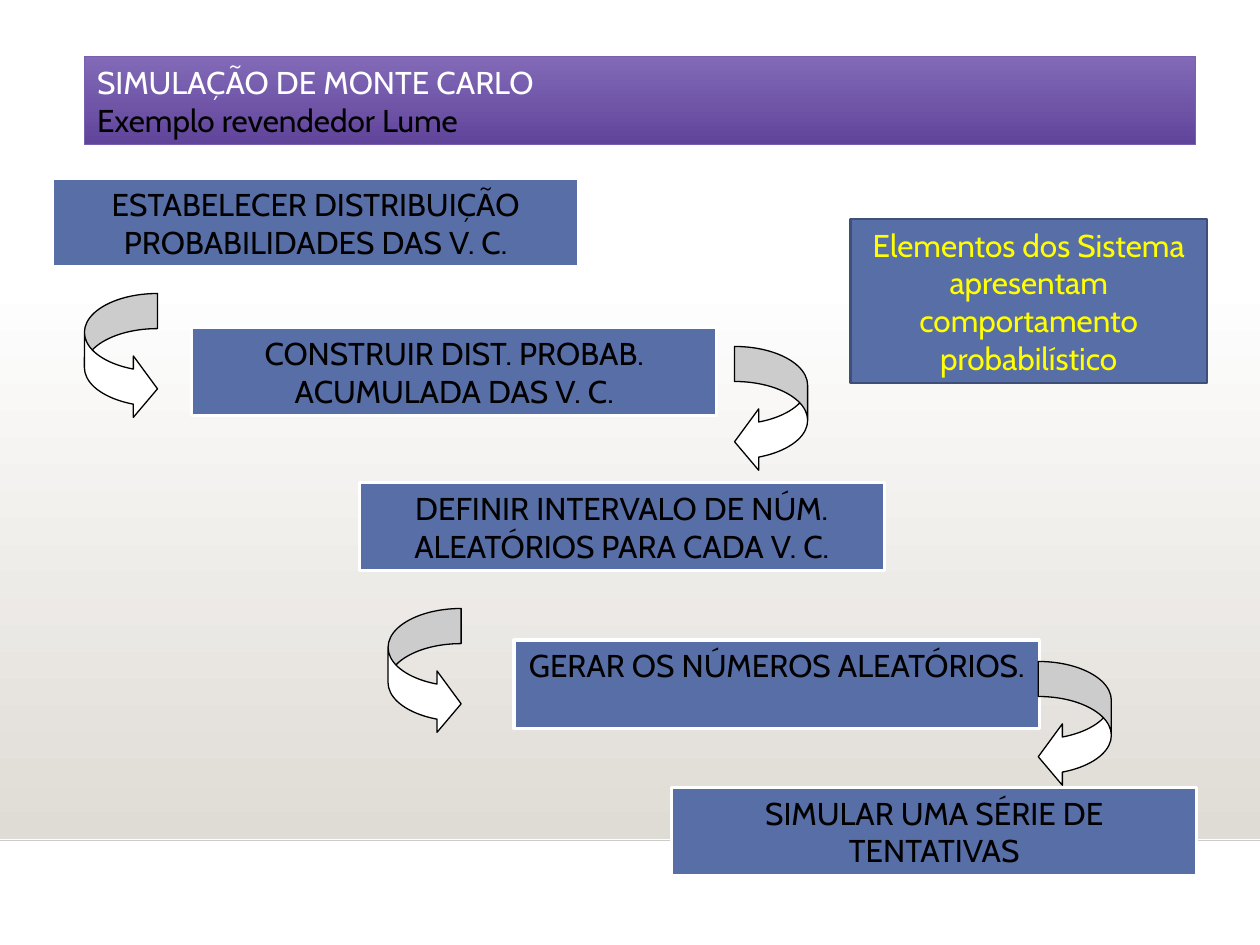
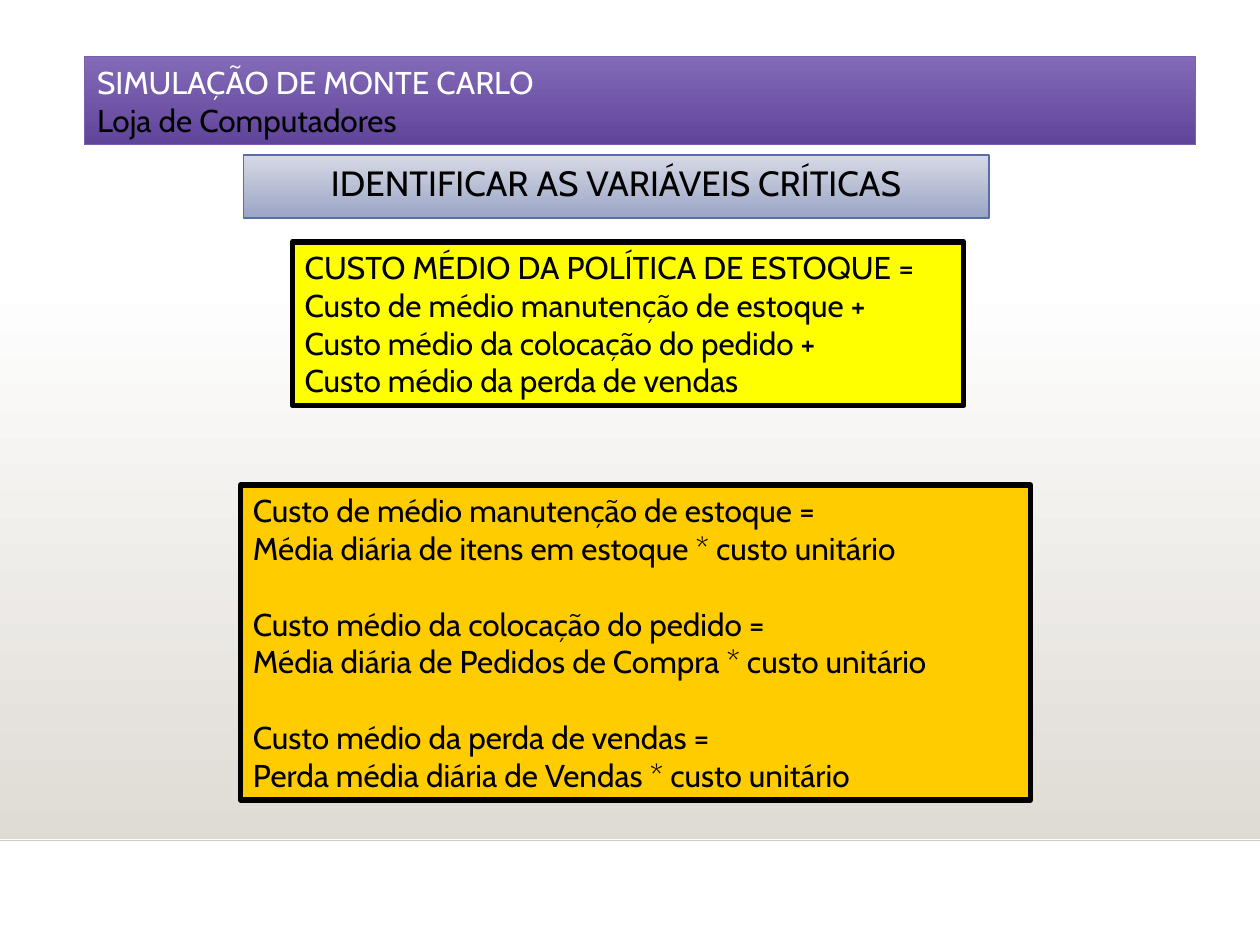
from pptx import Presentation
from pptx.dml.color import RGBColor
from pptx.enum.shapes import MSO_CONNECTOR, MSO_SHAPE
from pptx.enum.text import MSO_ANCHOR, MSO_AUTO_SIZE, PP_ALIGN
from pptx.oxml.ns import qn
from pptx.util import Inches, Pt
from lxml.etree import SubElement

COLORS = {
    "white": "FFFFFF", "black": "000000", "yellow": "FFFF00", "amber": "FFCC00",
    "blue": "586EA6", "navy": "3E4F79", "pale": "D6D9E5", "steel": "9BA5C5",
    "violet": "836AB8", "purple": "60449A", "edge": "795FAF",
    "sand": "DFDBD5", "rule": "CCCCCC",
}
FONT = "Cabin"
TITLE = "SIMULAÇÃO DE MONTE CARLO"
STEPS = [
    (0.42, 1.42, "ESTABELECER DISTRIBUIÇÃO PROBABILIDADES DAS V. C."),
    (1.52, 2.6, "CONSTRUIR DIST. PROBAB. ACUMULADA DAS V. C."),
    (2.85, 3.83, "DEFINIR INTERVALO DE NÚM. ALEATÓRIOS PARA CADA V. C."),
    (4.08, 5.08, "GERAR OS NÚMEROS ALEATÓRIOS."),
    (5.33, 6.25, "SIMULAR UMA SÉRIE DE TENTATIVAS"),
]
TOTAL_COST = [
    "CUSTO MÉDIO DA POLÍTICA DE ESTOQUE =",
    "Custo de médio manutenção de estoque +",
    "Custo médio da colocação do pedido +",
    "Custo médio da perda de vendas",
]
COST_PARTS = [
    ("Custo de médio manutenção de estoque =",
     "Média diária de itens em estoque * custo unitário"),
    ("Custo médio da colocação do pedido =",
     "Média diária de Pedidos de Compra * custo unitário"),
    ("Custo médio da perda de vendas =",
     "Perda média diária de Vendas * custo unitário"),
]


def rgb(name):
    """Return the named colour."""
    return RGBColor.from_string(COLORS[name])


def paint(shape, fills, line=None, width=0.75):
    """Give a shape a solid fill or a top-to-bottom gradient, and an outline."""
    shape.shadow.inherit = False
    if len(fills) == 1:
        shape.fill.solid()
        shape.fill.fore_color.rgb = rgb(fills[0])
    else:
        shape.fill.gradient()
        shape.fill.gradient_angle = 270
        for stop, name, position in zip(shape.fill.gradient_stops, fills, (0, 1)):
            stop.color.rgb = rgb(name)
            stop.position = position
    if line:
        shape.line.color.rgb = rgb(line)
        shape.line.width = Pt(width)
    else:
        shape.line.fill.background()


def write(shape, text, colors=("black",), size=18, align=PP_ALIGN.LEFT,
          anchor=MSO_ANCHOR.TOP, gap_every=None):
    """Fill a shape with one paragraph per line of text."""
    frame = shape.text_frame
    frame.text = text
    frame.word_wrap = True
    frame.auto_size = MSO_AUTO_SIZE.NONE
    frame.vertical_anchor = anchor
    for index, para in enumerate(frame.paragraphs):
        para.alignment = align
        if gap_every and index and index % gap_every == 0:
            para.space_before = Pt(21.6)
        para.font.name = FONT
        para.font.size = Pt(size)
        para.font.color.rgb = rgb(colors[min(index, len(colors) - 1)])


def add_box(page, box, text, fills, line, width=0.75, **text_format):
    """Add a painted rectangle with text."""
    shape = page.shapes.add_shape(MSO_SHAPE.RECTANGLE, *map(Inches, box))
    paint(shape, fills, line, width)
    write(shape, text, **text_format)


def add_backdrop(page, layout):
    """Draw the shaded floor and its rule, then place them on the layout."""
    floor = page.shapes.add_shape(
        MSO_SHAPE.RECTANGLE, 0, Inches(2.2), Inches(10), Inches(4.46))
    paint(floor, ("white", "sand"))
    rule = page.shapes.add_connector(
        MSO_CONNECTOR.STRAIGHT, 0, Inches(6.67), Inches(10), Inches(6.67))
    rule.line.color.rgb = rgb("rule")
    rule.line.width = Pt(1)
    SubElement(rule.element.spPr, qn("a:effectLst"))
    for index, part in enumerate((floor, rule), start=2):
        layout.shapes.element.insert(index, part.element)


def add_page(deck, layout, subtitle):
    """Add a slide with the purple title band."""
    page = deck.slides.add_slide(layout)
    band = page.shapes.title
    band.left, band.top, band.width, band.height = map(Inches, (0.67, 0.45, 8.82, 0.7))
    paint(band, ("violet", "purple"), "edge")
    write(band, f"{TITLE}\n{subtitle}", colors=("white", "black"))
    return page


def add_arrow_pair(page, left, top):
    """Add a curved arrow to the right and its lower mirror to the left."""
    for kind, dx, dy in ((MSO_SHAPE.CURVED_RIGHT_ARROW, 0, 0),
                         (MSO_SHAPE.CURVED_LEFT_ARROW, 5.16, 0.42)):
        arrow = page.shapes.add_shape(
            kind, Inches(left + dx), Inches(top + dy), Inches(0.58), Inches(1))
        for index, value in enumerate((0.48, 0.84, 0.33)):
            arrow.adjustments[index] = value
        paint(arrow, ("white",), "black")


def build_steps(page):
    """Lay out the staircase of steps, its arrows and the side note."""
    for left, top, text in STEPS:
        add_box(page, (left, top, 4.17, 0.7), text, ("blue",), "white", 1.75,
                align=PP_ALIGN.CENTER)
    for left, top in ((0.67, 2.33), (3.08, 4.83)):
        add_arrow_pair(page, left, top)
    add_box(page, (6.75, 1.74, 2.83, 1.3),
            "Elementos dos Sistema apresentam comportamento probabilístico",
            ("blue",), "navy", 1.25, colors=("yellow",),
            align=PP_ALIGN.CENTER, anchor=MSO_ANCHOR.MIDDLE)


def build_costs(page):
    """Lay out the heading and the two boxes of cost formulas."""
    add_box(page, (1.93, 1.23, 5.92, 0.5), "IDENTIFICAR AS VARIÁVEIS CRÍTICAS",
            ("pale", "steel"), "blue", size=20, align=PP_ALIGN.CENTER)
    add_box(page, (2.32, 1.92, 5.33, 1.3), "\n".join(TOTAL_COST),
            ("yellow",), "black", 3)
    add_box(page, (1.91, 3.85, 6.27, 2.5), "\n".join(map("\n".join, COST_PARTS)),
            ("amber",), "black", 3, gap_every=2)


def main():
    """Build and save the deck."""
    deck = Presentation()
    deck.slide_width, deck.slide_height = Inches(10), Inches(7.5)
    layout = deck.slide_layouts.get_by_name("Title Only")
    steps_page = add_page(deck, layout, "Exemplo revendedor Lume")
    add_backdrop(steps_page, layout)
    build_steps(steps_page)
    build_costs(add_page(deck, layout, "Loja de Computadores"))
    deck.save("out.pptx")


if __name__ == "__main__":
    main()
